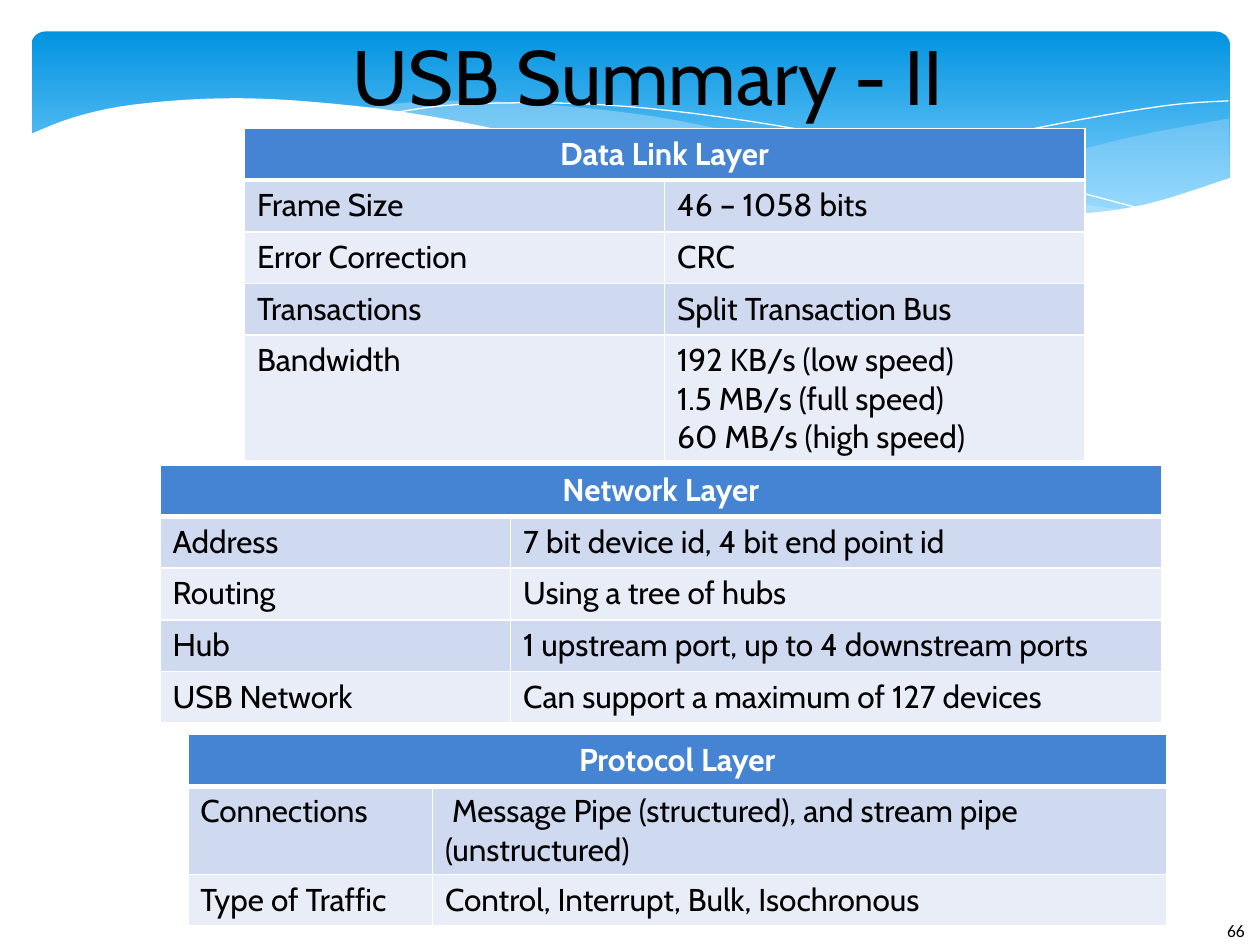
from lxml import etree
from pptx import Presentation
from pptx.dml.color import RGBColor
from pptx.enum import shapes, text
from pptx.oxml import ns
from pptx.util import Inches, Pt

# The slide is a grid of 100 columns by 75 rows, each a tenth of an inch
COLS, ROWS, UNIT = 100, 75, 0.1
COLORS = {"sky": "0293E0", "pale sky": "83D3FE", "mist": "C6E7FC", "white": "FFFFFF",
          "black": "000000", "header": "4584D3", "odd": "CFD9EF", "even": "E9EDF7"}
HEADING, NUMBERING = "Cabin", "Calibri"

# Wave edges in columns and rows, from left to right
RIGHT_TOP = [(66.1, 16), (75.3, 14.3), (83.2, 12.5), (90.6, 10.7), (97.55, 9.4)]
RIGHT_BOTTOM = [(66.1, 16), (74.5, 17), (81.4, 17.2), (88.9, 16.6), (93.5, 15.6), (97.6, 14.1)]
MIDDLE_TOP = [(28.6, 8.6), (34.4, 8), (42, 8.2), (50.2, 9), (56.9, 10.2), (66.8, 12.6),
              (77.5, 14.9), (89.3, 16.7)]
MIDDLE_BOTTOM = [(28.6, 8.6), (36.2, 9.7), (44.9, 11.6), (56.6, 14.3), (65, 15.8),
                 (73.6, 16.9), (80.7, 17.3), (89.3, 16.7)]
FALLING_LINE = [(30.9, 9), (36.3, 8.3), (45, 8.2), (53.3, 8.8), (63.6, 10.3), (76, 12.8),
                (90.7, 16.6)]
RISING_LINE = [(61.3, 15.1), (72, 12.4), (83.6, 9.9), (92.4, 8.4), (97.5, 8)]
WHITE_TOP = [(2.3, 10.7), (5.9, 9.3), (10.6, 8.3), (17.7, 7.8), (25, 8.1), (34, 9.2),
             (44.7, 11.4), (57.9, 14.4), (68.8, 16.2), (77.8, 17), (85, 17),
             (91, 16.2), (97.7, 14.1)]

TABLES = [
    ("Data Link Layer", (19.4, 10.2, 66.7), (0.5, 0.5), (4.1, 4.1, 4.1, 4.1, 9.8), [
        ("Frame Size", ["46 – 1058 bits"]),
        ("Error Correction", ["CRC"]),
        ("Transactions", ["Split Transaction Bus"]),
        ("Bandwidth", ["192 KB/s (low speed)", "1.5 MB/s (full speed)",
                       "60 MB/s (high speed)"])]),
    ("Network Layer", (12.7, 36.9, 79.5), (0.35, 0.65), (4.1,) * 5, [
        ("Address", ["7 bit device id, 4 bit end point id"]),
        ("Routing", ["Using a tree of hubs"]),
        ("Hub", ["1 upstream port, up to 4 downstream ports"]),
        ("USB Network", ["Can support a maximum of 127 devices"])]),
    ("Protocol Layer", (14.9, 58.3, 77.7), (0.25, 0.75), (4.1, 6.9, 4.1), [
        ("Connections", [" Message Pipe (structured), and stream pipe (unstructured)"]),
        ("Type of Traffic", ["Control, Interrupt, Bulk, Isochronous"])]),
]


def grid(count):
    return Inches(count * UNIT)


def rgb(name):
    return RGBColor.from_string(COLORS[name])


def smooth(points, steps=5):
    """Points along a Catmull-Rom curve through the given ones."""
    padded = [points[0], *points, points[-1]]
    curve = []
    for a, b, c, d in zip(padded, padded[1:], padded[2:], padded[3:]):
        for step in range(steps):
            t = step / steps
            curve.append(tuple(
                (2 * q + (r - p) * t + (2 * p - 5 * q + 4 * r - s) * t ** 2
                 + (3 * q - p - 3 * r + s) * t ** 3) / 2
                for p, q, r, s in zip(a, b, c, d)))
    return curve + [points[-1]]


def add_outline(slide, box, points, closed):
    left, top = box[:2]
    start, *rest = [(grid(left + x), grid(top + y)) for x, y in points]
    builder = slide.shapes.build_freeform(*start)
    builder.add_line_segments(rest, close=closed)
    outline = builder.convert_to_shape()
    outline.shadow.inherit = False
    return outline


def add_wave(slide, box, points, color, opacity=100):
    wave = add_outline(slide, box, points, True)
    wave.fill.solid()
    wave.fill.fore_color.rgb = rgb(color)
    wave.line.fill.background()
    if opacity < 100:
        tint = wave._element.spPr.find(".//" + ns.qn("a:srgbClr"))
        etree.SubElement(tint, ns.qn("a:alpha"), val=str(opacity * 1000))


def add_banner(slide, box):
    left, top, width, height = box
    # Blue gradient panel
    panel = slide.shapes.add_shape(
        shapes.MSO_SHAPE.ROUNDED_RECTANGLE, grid(left + 2.5), grid(top + 2.5),
        grid(width - 4.9), grid(15.6))
    panel.adjustments[0] = 0.07
    panel.shadow.inherit = False
    panel.line.fill.background()
    panel.fill.gradient()
    panel.fill.gradient_angle = 270
    for stop, position, color in zip(panel.fill.gradient_stops, (0, 0.9), ("sky", "pale sky")):
        stop.position = position
        stop.color.rgb = rgb(color)

    # Translucent waves
    for upper, lower, opacity in ((RIGHT_TOP, RIGHT_BOTTOM, 29),
                                  (MIDDLE_TOP, MIDDLE_BOTTOM, 40)):
        add_wave(slide, box, smooth(upper) + smooth(lower)[::-1], "mist", opacity)

    # Hairlines
    for points in (FALLING_LINE, RISING_LINE):
        hairline = add_outline(slide, box, smooth(points), False)
        hairline.fill.background()
        hairline.line.color.rgb = rgb("white")
        hairline.line.width = Pt(0)

    # White wave that cuts the panel's lower edge
    base = [(width - 2.3, height), (2.3, height)]
    add_wave(slide, box, smooth(WHITE_TOP) + base, "white")


def write(paragraph, words, size, color="black", font=HEADING, bold=False):
    run = paragraph.add_run()
    run.text = words
    run.font.size, run.font.name, run.font.bold = Pt(size), font, bold
    run.font.color.rgb = rgb(color)


def add_label(slide, box, words, size, font, align, anchor, insets):
    frame = slide.shapes.add_textbox(*map(grid, box)).text_frame
    frame.word_wrap = True
    frame.vertical_anchor = anchor
    frame.margin_left, frame.margin_top, frame.margin_right, frame.margin_bottom = map(grid, insets)
    frame.paragraphs[0].alignment = align
    write(frame.paragraphs[0], words, size, font=font)


def style_cell(cell, color, bottom=1):
    cell.fill.solid()
    cell.fill.fore_color.rgb = rgb(color)
    properties = cell._tc.get_or_add_tcPr()
    for place, (side, points) in enumerate((("L", 1), ("R", 1), ("T", 1), ("B", bottom))):
        border = etree.Element(ns.qn(f"a:ln{side}"), w=str(Pt(points)))
        paint = etree.SubElement(border, ns.qn("a:solidFill"))
        etree.SubElement(paint, ns.qn("a:srgbClr"), val=COLORS["white"])
        properties.insert(place, border)


def add_layer(slide, heading, box, shares, heights, facts):
    left, top, width = box
    table = slide.shapes.add_table(len(heights), len(shares), grid(left), grid(top),
                                   grid(width), grid(sum(heights))).table
    for column, share in zip(table.columns, shares):
        column.width = grid(width * share)
    for row, height in zip(table.rows, heights):
        row.height = grid(height)

    # Heading across both columns
    for cell in table.rows[0].cells:
        style_cell(cell, "header", bottom=3)
    table.cell(0, 0).merge(table.cell(0, 1))
    title = table.cell(0, 0).text_frame.paragraphs[0]
    title.alignment = text.PP_ALIGN.CENTER
    write(title, heading, 18, "white", bold=True)

    # Facts in banded rows
    for number, (topic, details) in enumerate(facts, 1):
        for cell, lines in zip(table.rows[number].cells, ([topic], details)):
            style_cell(cell, "odd" if number % 2 else "even")
            frame = cell.text_frame
            for index, line in enumerate(lines):
                write(frame.add_paragraph() if index else frame.paragraphs[0], line, 18)


def main():
    deck = Presentation()
    deck.slide_width, deck.slide_height = grid(COLS), grid(ROWS)
    slide = deck.slides.add_slide(deck.slide_layouts[6])
    add_banner(slide, (0, 0, COLS, 22.4))
    add_label(slide, (96.4, 72.5, 3.6, 2.5), "66", 10, NUMBERING,
              text.PP_ALIGN.LEFT, text.MSO_ANCHOR.TOP, (1, 0.5, 0, 0))
    add_label(slide, (10.9, 0.8, 81.1, 10.2), "USB Summary - II", 44, HEADING,
              text.PP_ALIGN.CENTER, text.MSO_ANCHOR.MIDDLE, (0, 0, 0, 0))
    for layer in TABLES:
        add_layer(slide, *layer)
    deck.save("out.pptx")


if __name__ == "__main__":
    main()
